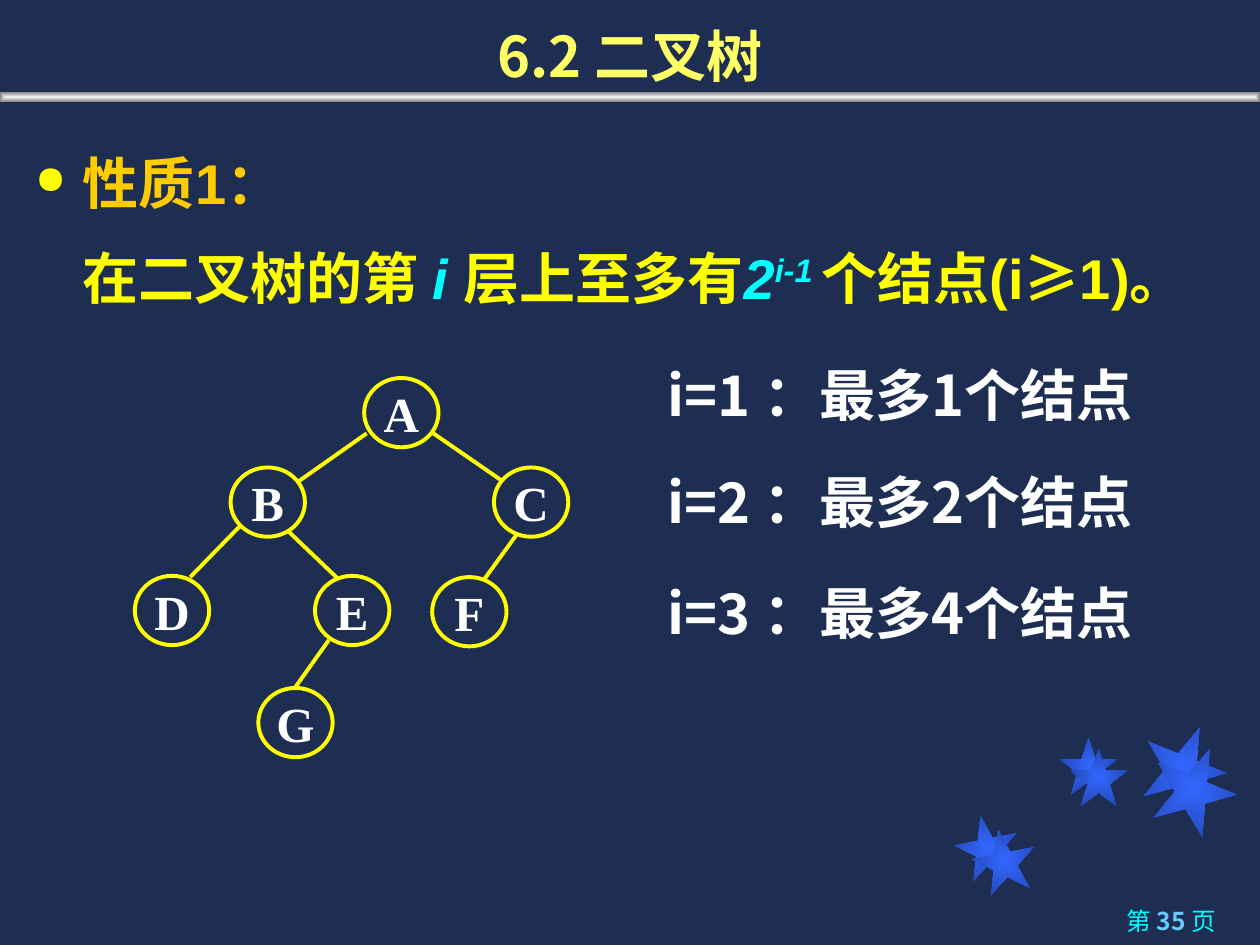
from dataclasses import dataclass

from lxml import etree
from pptx import Presentation
from pptx.dml.color import RGBColor
from pptx.enum.shapes import MSO_CONNECTOR, MSO_SHAPE
from pptx.enum.text import MSO_ANCHOR, PP_ALIGN
from pptx.oxml.ns import qn
from pptx.util import Inches, Pt

STAR = MSO_SHAPE.STAR_5_POINT
BAR = MSO_SHAPE.RECTANGLE
CIRCLE = MSO_SHAPE.OVAL
STRAIGHT = MSO_CONNECTOR.STRAIGHT
LEFT, CENTER, RIGHT = PP_ALIGN.LEFT, PP_ALIGN.CENTER, PP_ALIGN.RIGHT
TOP, MIDDLE, BOTTOM = MSO_ANCHOR.TOP, MSO_ANCHOR.MIDDLE, MSO_ANCHOR.BOTTOM


@dataclass(frozen=True)
class Theme:
    background: str = "1E2E53"
    star: tuple = ("3366FF", "2449B6")
    bar: tuple = ("F2F2F2", "808080")
    title: str = "FFFF66"
    heading: str = "FFCC00"
    accent: str = "FFFF00"
    variable: str = "00FFFF"
    page: str = "66CCFF"
    text: str = "FFFFFF"
    cjk: str = "Noto Sans CJK SC"
    latin: str = "Arial"
    serif: str = "Times New Roman"
    large: int = 32
    node: int = 28
    small: int = 14
    stroke: float = 2.25


THEME = Theme()

STARS = [
    (7.58, 6.47, 0.5, 349), (8.41, 5.85, 0.46, 0), (9.06, 5.75, 0.67, 22),
    (7.72, 6.58, 0.5, 349), (8.49, 5.94, 0.46, 0), (9.14, 5.92, 0.67, 22),
]
EDGES = [
    (2.91, 3.44, 2.2, 3.94), (3.44, 3.44, 4.15, 3.93),
    (1.9, 4.18, 1.51, 4.58), (2.26, 4.19, 2.7, 4.61),
    (4.11, 4.23, 3.82, 4.63), (2.61, 5.08, 2.34, 5.46),
]
NODES = {
    "A": (2.89, 3), "B": (1.83, 3.71), "C": (3.92, 3.71), "D": (1.07, 4.57),
    "E": (2.5, 4.57), "F": (3.43, 4.58), "G": (2.05, 5.46),
}
LEVEL_TOPS = [2.81, 3.66, 4.54]


def color(value):
    return RGBColor.from_string(value)


def style_font(font, size, name, value, bold=True):
    font.size = Pt(size)
    font.name = name
    font.bold = bold
    font.color.rgb = color(value)


def use_east_asian(font):
    latin = font._element.find(qn("a:latin"))
    east_asian = etree.Element(qn("a:ea"), typeface=THEME.cjk)
    latin.addnext(east_asian)


def add_run(paragraph, text, value, italic=None, name=None, bold=None):
    run = paragraph.add_run()
    run.text = text
    run.font.color.rgb = color(value)
    run.font.italic = italic
    run.font.bold = bold
    if name:
        run.font.name = name
    return run


def add_text_box(slide, left, top, width, height, anchor=TOP):
    shape = slide.shapes.add_textbox(
        Inches(left), Inches(top), Inches(width), Inches(height))
    frame = shape.text_frame
    frame.word_wrap = True
    frame.vertical_anchor = anchor
    return frame


def add_line_of_text(slide, bounds, text, value, align=LEFT, anchor=TOP):
    paragraph = add_text_box(slide, *bounds, anchor).paragraphs[0]
    paragraph.text = text
    paragraph.alignment = align
    style_font(paragraph.font, THEME.large, THEME.cjk, value)
    use_east_asian(paragraph.font)


def add_glowing_shape(slide, kind, left, top, width, height, colors, rotation=0):
    shape = slide.shapes.add_shape(
        kind, Inches(left), Inches(top), Inches(width), Inches(height))
    shape.shadow.inherit = False
    shape.rotation = rotation
    shape.line.fill.background()
    shape.fill.gradient()
    for stop, position, value in zip(shape.fill.gradient_stops, (0, 1), colors):
        stop.position = position
        stop.color.rgb = color(value)
    gradient = shape._element.spPr.find(qn("a:gradFill"))
    gradient.remove(gradient.find(qn("a:lin")))
    center = etree.SubElement(gradient, qn("a:path"), path="shape")
    etree.SubElement(center, qn("a:fillToRect"),
                     l="50000", t="50000", r="50000", b="50000")


def add_edge(slide, *ends):
    connector = slide.shapes.add_connector(STRAIGHT, *map(Inches, ends))
    connector.line.color.rgb = color(THEME.accent)
    connector.line.width = Pt(THEME.stroke)
    etree.SubElement(connector._element.spPr, qn("a:effectLst"))


def add_node(slide, label, left, top):
    shape = slide.shapes.add_shape(
        CIRCLE, Inches(left), Inches(top), Inches(0.59), Inches(0.55))
    shape.shadow.inherit = False
    shape.fill.solid()
    shape.fill.fore_color.rgb = color(THEME.background)
    shape.line.color.rgb = color(THEME.accent)
    shape.line.width = Pt(THEME.stroke)
    frame = shape.text_frame
    frame.word_wrap = False
    frame.vertical_anchor = MIDDLE
    paragraph = frame.paragraphs[0]
    paragraph.text = label
    paragraph.alignment = CENTER
    style_font(paragraph.font, THEME.node, THEME.serif, THEME.text)


def add_bullet(properties):
    properties.set("indent", str(-Inches(0.38)))
    bullet_color = etree.SubElement(properties, qn("a:buClr"))
    etree.SubElement(bullet_color, qn("a:srgbClr"), val=THEME.accent)
    etree.SubElement(properties, qn("a:buSzPct"), val="70000")
    etree.SubElement(properties, qn("a:buChar"), char="●")


def add_property(slide):
    frame = add_text_box(slide, 0.18, 1, 9.6, 1.47)
    heading, statement = frame.paragraphs[0], frame.add_paragraph()
    statement.space_before = Pt(6)
    for paragraph in (heading, statement):
        paragraph.line_spacing = 1.25
        properties = paragraph._p.get_or_add_pPr()
        properties.set("marL", str(Inches(0.38)))
        properties.set("indent", "0")
        if paragraph is heading:
            add_bullet(properties)
        style_font(paragraph.font, THEME.large, THEME.latin, THEME.accent)
        use_east_asian(paragraph.font)
    add_run(heading, "性质1：", THEME.heading)
    add_run(statement, "在二叉树的第 ", THEME.accent)
    add_run(statement, "i ", THEME.variable, italic=True)
    add_run(statement, "层上至多有", THEME.accent)
    add_run(statement, "2", THEME.variable, italic=True)
    exponent = add_run(statement, "i-1 ", THEME.variable, italic=True)
    exponent.font._element.set("baseline", "30000")
    add_run(statement, "个结点(i", THEME.accent)
    add_run(statement, "≥", THEME.accent, name=THEME.cjk)
    add_run(statement, "1)。", THEME.accent)


def add_page_number(slide):
    paragraph = add_text_box(slide, 7.12, 7.14, 2.63, 0.36).paragraphs[0]
    paragraph.alignment = RIGHT
    style_font(paragraph.font, THEME.small, THEME.cjk, THEME.variable, bold=False)
    use_east_asian(paragraph.font)
    add_run(paragraph, "第 ", THEME.variable)
    add_run(paragraph, "35 ", THEME.page, bold=True)
    add_run(paragraph, "页", THEME.variable)


def main():
    presentation = Presentation()
    presentation.slide_width, presentation.slide_height = Inches(10), Inches(7.5)
    slide = presentation.slides.add_slide(presentation.slide_layouts[6])
    slide.background.fill.solid()
    slide.background.fill.fore_color.rgb = color(THEME.background)
    for left, top, size, rotation in STARS:
        add_glowing_shape(slide, STAR, left, top, size, size, THEME.star, rotation)
    add_glowing_shape(slide, BAR, 0, 0.73, 10, 0.08, THEME.bar)
    add_page_number(slide)
    add_line_of_text(slide, (0, 0, 10, 0.75), "6.2 二叉树", THEME.title, CENTER, BOTTOM)
    add_property(slide)
    for level, top in enumerate(LEVEL_TOPS, start=1):
        text = f"i={level} ：最多{2 ** (level - 1)}个结点"
        add_line_of_text(slide, (5.2, top, 4.58, 0.63), text, THEME.text)
    for edge in EDGES:
        add_edge(slide, *edge)
    for label, position in NODES.items():
        add_node(slide, label, *position)
    presentation.save("out.pptx")


if __name__ == "__main__":
    main()
